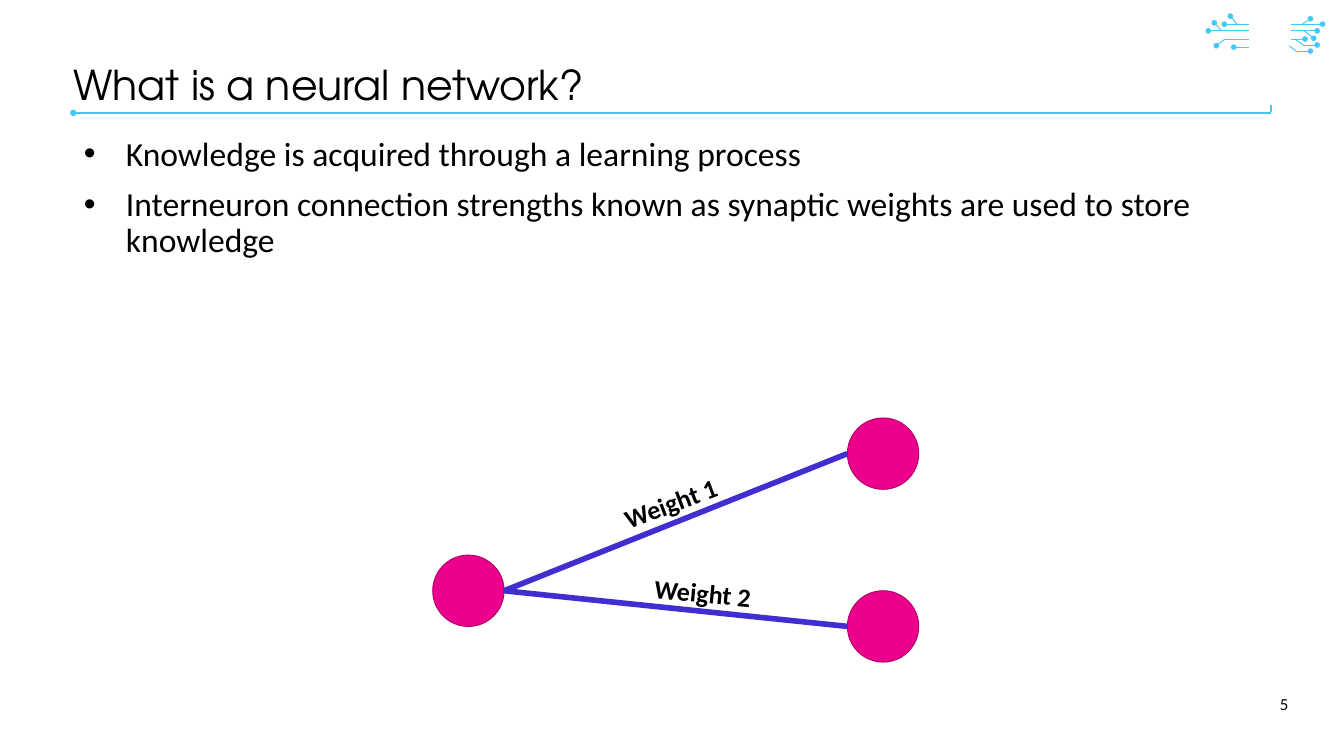
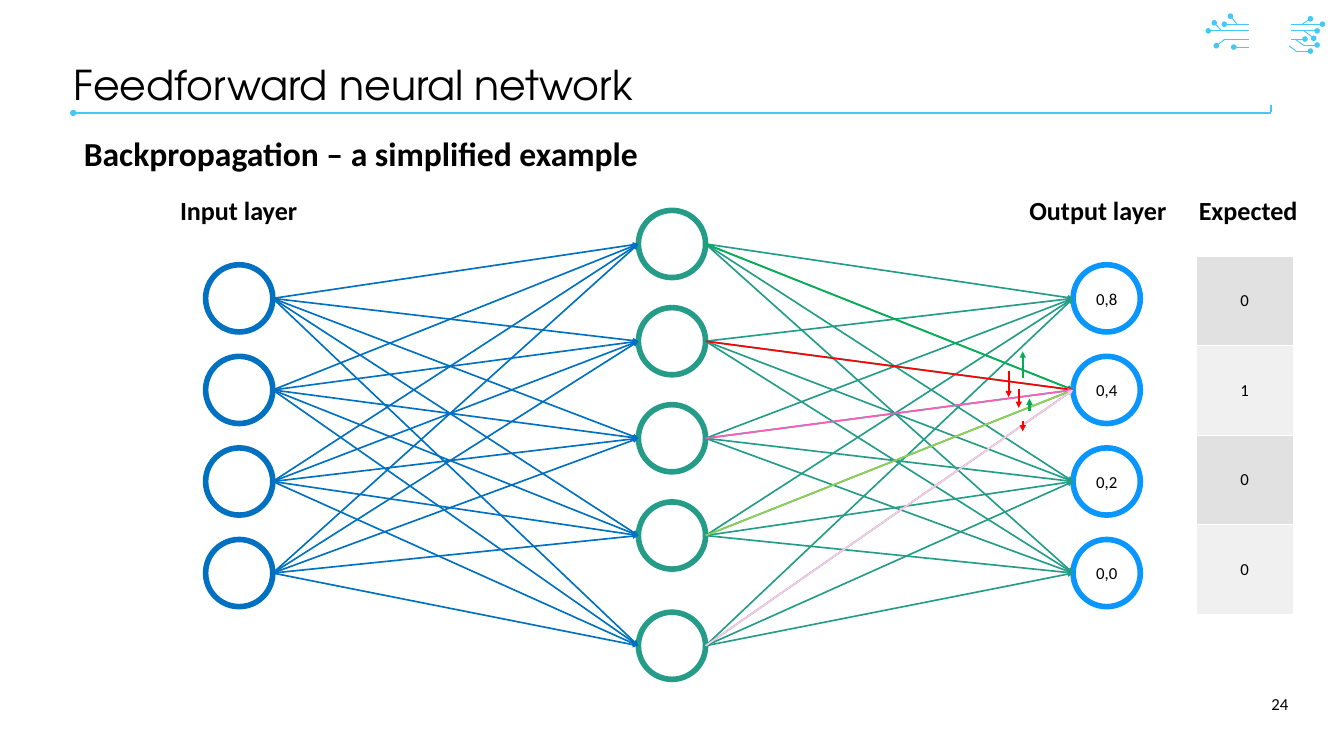
import lxml.etree
import pptx
import pptx.dml.color
import pptx.enum.shapes
import pptx.enum.text
import pptx.oxml
import pptx.oxml.ns
import pptx.util

Pt = pptx.util.Pt
ALIGN = pptx.enum.text.PP_ALIGN
ANCHOR = pptx.enum.text.MSO_ANCHOR
SHAPES = pptx.enum.shapes.MSO_SHAPE

# Bars of the circuit ornament: x1, y1, x2, y2, end mark
CIRCUIT = [
    (1337.8, 25.9, 1311.8, 25.9, "oval"),
    (1337.8, 33.1, 1294.6, 33.1, "oval"),
    (1337.8, 41.8, 1311.8, 41.8, None),
    (1312.6, 41.8, 1303.2, 49, "oval"),
    (1337.8, 50.4, 1321.9, 50.4, "oval"),
    (1325.5, 25.9, 1318.3, 17.3, "oval"),
    (1309, 33.1, 1301, 24.5, "oval"),
    (1383.1, 33.1, 1411.2, 33.1, "oval"),
    (1397.5, 49, 1387.4, 41.8, None),
    (1396.8, 48.2, 1411.2, 48.2, "oval"),
    (1383.1, 41.8, 1398.2, 41.8, "oval"),
    (1397.5, 33.1, 1407.6, 41, "oval"),
    (1383.1, 25.9, 1417, 25.9, "oval"),
    (1389.6, 55.4, 1381, 49, None),
    (1389.6, 54.7, 1404, 54.7, "oval"),
    (1395.4, 25.9, 1404, 20.2, "oval"),
]


def rgb(value):
    return pptx.dml.color.RGBColor.from_string(value)


def add_xml(parent, tag, **attributes):
    """Append one DrawingML element and return it."""
    element = lxml.etree.SubElement(parent, pptx.oxml.ns.qn(tag))
    for name, value in attributes.items():
        element.set(name, value)
    return element


class Deck:
    """Holds the shared style and the slide being built."""

    black, white, accent = "000000", "FFFFFF", "44C8F5"
    body_font, title_font = "Calibri", "TeX Gyre Adventor"

    def __init__(self):
        self.presentation = pptx.Presentation()
        self.presentation.slide_width = Pt(1440)
        self.presentation.slide_height = Pt(810)
        self.slide = None

    def new_slide(self, title, number):
        layout = self.presentation.slide_layouts[6]
        self.slide = self.presentation.slides.add_slide(layout)
        for x1, y1, x2, y2, mark in CIRCUIT:
            self.line((x1, y1), (x2, y2), self.accent, 1, tail=mark)
        # Rule below the title
        self.line((78.5, 121), (1361.5, 121), self.accent, 2.25, head="oval")
        self.line((1361.5, 120.2), (1361.5, 113), self.accent, 2.25)
        self.text((78.5, 69.8, 1180, 49.7), [title], 44, font=self.title_font,
                  inset=False, spacing=0.9)
        self.text((1309, 733, 78.5, 43.2), [str(number)], 18,
                  align=ALIGN.RIGHT, anchor=ANCHOR.MIDDLE)

    def format(self, paragraph, size, bold=False, font=None, align=ALIGN.LEFT):
        paragraph.alignment = align
        for run in paragraph.runs:
            run.font.size = Pt(size)
            run.font.bold = bold
            run.font.name = font or self.body_font
            run.font.color.rgb = rgb(self.black)

    def text(self, box, lines, size, bold=False, font=None, align=ALIGN.LEFT,
             anchor=ANCHOR.TOP, inset=True, spacing=None, bullets=False,
             wrap=True, rotation=0):
        shape = self.slide.shapes.add_textbox(*map(Pt, box))
        shape.rotation = rotation
        frame = shape.text_frame
        frame.word_wrap = wrap
        frame.vertical_anchor = anchor
        if not inset:
            frame.margin_left = frame.margin_right = 0
            frame.margin_top = frame.margin_bottom = 0
        frame.text = "\n".join(lines)
        for index, paragraph in enumerate(frame.paragraphs):
            if bullets:
                properties = paragraph._p.get_or_add_pPr()
                properties.set("marL", str(Pt(45)))
                properties.set("indent", str(Pt(-45)))
                add_xml(properties, "a:buFont", typeface="Arial")
                add_xml(properties, "a:buChar", char="•")
            if spacing:
                paragraph.line_spacing = spacing
            if index:
                paragraph.space_before = Pt(15)
            self.format(paragraph, size, bold, font, align)

    def body(self, lines, **style):
        self.text((82.8, 143.3, 1305.4, 481), lines, 36, spacing=0.9, **style)

    def label(self, left, top, width, text, rotation=0, wrap=False):
        self.text((left, top, width, 41), [text], 28, bold=True,
                  rotation=rotation, wrap=wrap)

    def circle(self, left, top, size, outline, width, fill=None, text=""):
        shape = self.slide.shapes.add_shape(
            SHAPES.OVAL, Pt(left), Pt(top), Pt(size), Pt(size))
        shape.shadow.inherit = False
        if fill:
            shape.fill.solid()
            shape.fill.fore_color.rgb = rgb(fill)
        else:
            shape.fill.background()
        shape.line.color.rgb = rgb(outline)
        shape.line.width = Pt(width)
        if text:
            shape.text_frame.text = text
            shape.text_frame.vertical_anchor = ANCHOR.MIDDLE
            self.format(shape.text_frame.paragraphs[0], 18, align=ALIGN.CENTER)

    def line(self, start, end, color, width, head=None, tail=None):
        connector = self.slide.shapes.add_connector(
            pptx.enum.shapes.MSO_CONNECTOR.STRAIGHT, *map(Pt, start + end))
        connector.line.color.rgb = rgb(color)
        connector.line.width = Pt(width)
        outline = connector.line._get_or_add_ln()
        if head:
            add_xml(outline, "a:headEnd", type=head)
        if tail:
            add_xml(outline, "a:tailEnd", type=tail)
        add_xml(connector._element.spPr, "a:effectLst")

    def arrow(self, start, end, color, width=1.75):
        self.line(start, end, color, width, tail="triangle")

    def column_table(self, box, values, fills):
        frame = self.slide.shapes.add_table(len(values), 1, *map(Pt, box))
        table = frame.table
        table.first_row = table.horz_banding = False
        for row, value in enumerate(values):
            cell = table.cell(row, 0)
            cell.text = value
            cell.vertical_anchor = ANCHOR.MIDDLE
            self.format(cell.text_frame.paragraphs[0], 18, align=ALIGN.CENTER)
            # Borders come before the fill
            properties = cell._tc.get_or_add_tcPr()
            for side in ("a:lnL", "a:lnR", "a:lnT", "a:lnB"):
                border = add_xml(properties, side, w=str(Pt(1)))
                add_xml(add_xml(border, "a:solidFill"), "a:srgbClr", val=self.white)
            cell.fill.solid()
            cell.fill.fore_color.rgb = rgb(fills[row % len(fills)])


def weights_slide(deck):
    deck.new_slide("What is a neural network?", 5)
    deck.body(["Knowledge is acquired through a learning process",
               "Interneuron connection strengths known as synaptic weights "
               "are used to store knowledge"], bullets=True)

    # Three neurons and two weighted connections
    size = 76.5
    source, targets = (463.6, 594.7), [(907.9, 447.8), (907.9, 632.9)]
    for left, top in [source] + targets:
        deck.circle(left, top, size, "AF0068", 1, fill="EC008C")
    for left, top in targets:
        deck.line((source[0] + size, source[1] + size / 2),
                  (left, top + size / 2), "412ED0", 6)
    deck.label(658, 509.8, 165.6, "Weight 1", rotation=338.9, wrap=True)
    deck.label(694, 617, 165.6, "Weight 2", rotation=5.7, wrap=True)


def backpropagation_slide(deck):
    deck.new_slide("Feedforward neural network", 24)
    deck.body(["Backpropagation – a simplified example"], bold=True)

    # Layers of neurons
    size = 72
    outer_tops = [283.7 + 98.1 * row for row in range(4)]
    hidden_tops = [225.4, 329.6, 433.6, 537.8, 655.9]
    input_left, hidden_left, output_left = 220.3, 684, 1149.8
    blue, teal, sky = "0070C0", "249C88", "0996FF"
    for top in outer_tops:
        deck.circle(input_left, top, size, blue, 6)
    for top in hidden_tops:
        deck.circle(hidden_left, top, size, teal, 6)
    for top, value in zip(outer_tops, ["0,8", "0,4", "0,2", "0,0"]):
        deck.circle(output_left, top, size, sky, 6, text=value)

    # Every neuron feeds all neurons of the next layer
    def connect(left, top, next_left, next_top, color):
        deck.arrow((left + size, top + size / 2),
                   (next_left, next_top + size / 2), color)

    for hidden_top in hidden_tops:
        for outer_top in outer_tops:
            connect(input_left, outer_top, hidden_left, hidden_top, blue)
    for hidden_top in hidden_tops:
        for outer_top in outer_tops:
            connect(hidden_left, hidden_top, output_left, outer_top, teal)

    # Layer names and expected values
    deck.label(185.8, 204.5, 141.8, "Input layer")
    deck.label(1095.8, 204.5, 162.7, "Output layer")
    deck.column_table((1281.6, 274.3, 103.7, 383.8), ["0", "1", "0", "0"],
                      ["E1E1E1", "F0F0F0"])
    deck.label(1277.3, 204.5, 121.7, "Expected")

    # Weights into the second output neuron
    highlights = [(0, "00B050"), (3, "92D050"), (1, "FF0000"),
                  (2, "FF5BBC"), (4, "FFC8E9")]
    for row, color in highlights:
        connect(hidden_left, hidden_tops[row], output_left, outer_tops[1], color)

    # Direction in which each weight should move
    up, down = "00B050", "FF0000"
    for x, start, end, color in [(1095.8, 404.6, 376.6, up),
                                 (1080.7, 397.4, 425.5, down),
                                 (1091.5, 416.9, 437, down),
                                 (1103, 440.6, 427, up),
                                 (1095.8, 450.7, 462.2, down)]:
        deck.arrow((x, start), (x, end), color, 2.25)


def main():
    deck = Deck()
    weights_slide(deck)
    backpropagation_slide(deck)
    deck.presentation.save("out.pptx")


if __name__ == "__main__":
    main()
